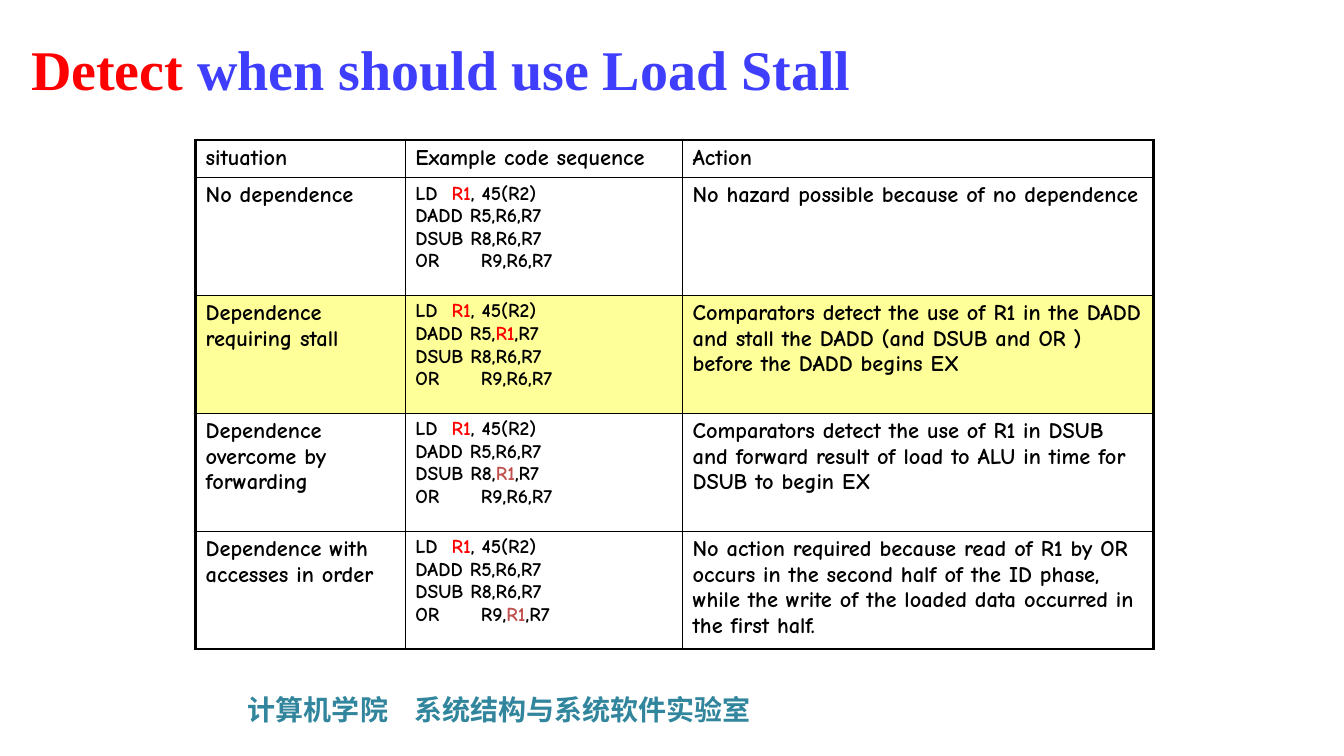
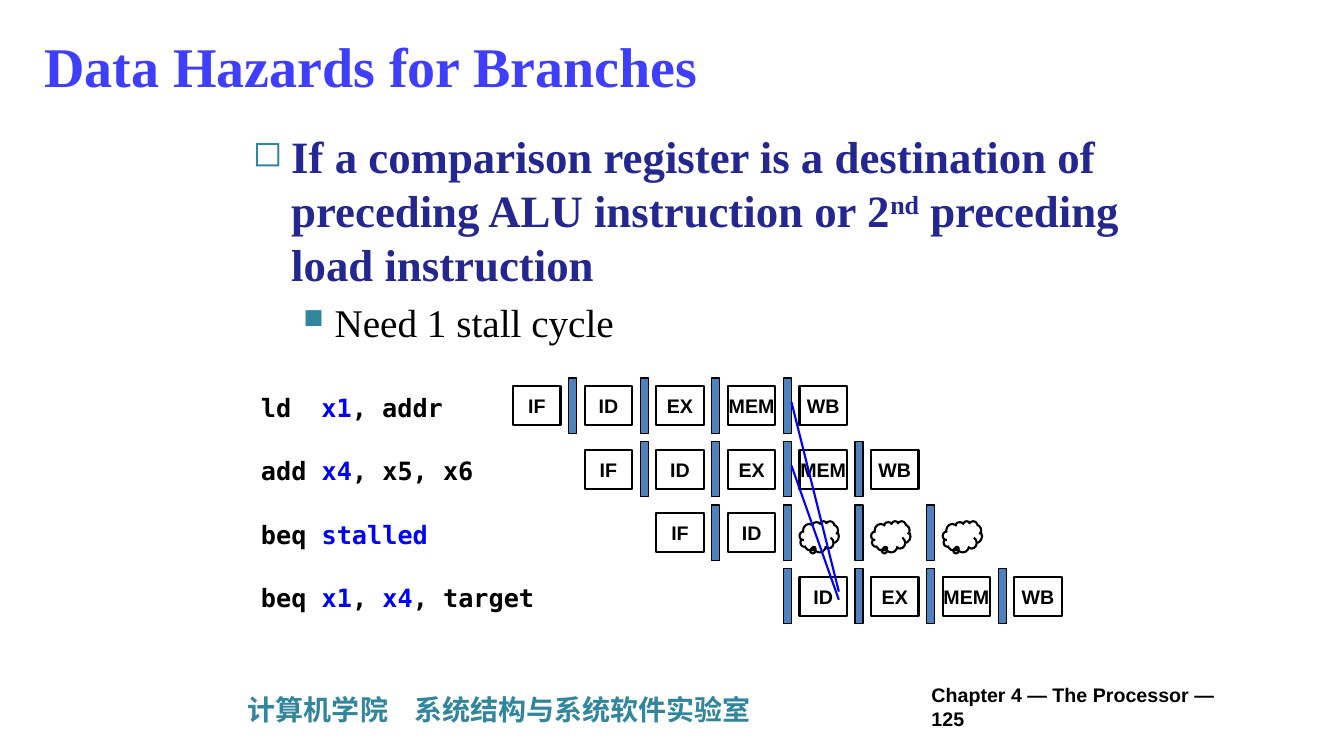
from lxml.etree import SubElement as Sub
from pptx import Presentation
from pptx.dml.color import RGBColor as RGB
from pptx.enum.shapes import MSO_CONNECTOR as Link, MSO_SHAPE as Kind
from pptx.enum.text import MSO_ANCHOR as Anchor, PP_ALIGN as Align
from pptx.oxml.ns import qn
from pptx.util import Emu, Inches, Pt

BLACK = RGB(0x00, 0x00, 0x00)
RED = RGB(0xFF, 0x00, 0x00)
BRICK = RGB(0xC0, 0x50, 0x4D)
BLUE = RGB(0x00, 0x00, 0xFF)
VIOLET = RGB(0x3E, 0x3E, 0xFC)
NAVY = RGB(0x24, 0x27, 0x90)
TEAL = RGB(0x31, 0x85, 0x9C)
STEEL = RGB(0x4F, 0x81, 0xBD)
YELLOW = RGB(0xFF, 0xFF, 0x99)

STYLES = {
    "title": (VIOLET, dict(name="Times New Roman", size=Pt(40), bold=True)),
    "lab": (TEAL, dict(name="Noto Sans CJK SC", size=Pt(20), bold=True)),
    "page": (BLACK, dict(name="Arial", size=Pt(14), bold=True)),
    "stage": (BLACK, dict(name="Arial", size=Pt(14), bold=True)),
    "point": (NAVY, dict(name="Times New Roman", size=Pt(32), bold=True)),
    "detail": (BLACK, dict(name="Times New Roman", size=Pt(28), bold=False)),
    "code": (BLACK, dict(name="DejaVu Sans Mono", size=Pt(18), bold=True)),
    "cell": (BLACK, dict(name="Comic Neue", size=Pt(16), bold=True)),
    "list": (BLACK, dict(name="Comic Neue", size=Pt(14), bold=True)),
}

HEAD = ("situation", "Example code sequence", "Action")
CASES = [  # situation, third operand of each line, accent, action
    ("No dependence", ("R6", "R6", "R6"), RED,
     "No hazard possible because of no dependence"),
    ("Dependence requiring stall", ("|R1|", "R6", "R6"), RED,
     "Comparators detect the use of R1 in the DADD and stall the DADD "
     "(and DSUB and OR ) before the DADD begins EX"),
    ("Dependence overcome by forwarding", ("R6", "|R1|", "R6"), BRICK,
     "Comparators detect the use of R1 in DSUB and forward result of load "
     "to ALU in time for DSUB to begin EX"),
    ("Dependence with accesses in order", ("R6", "R6", "|R1|"), BRICK,
     "No action required because read of R1 by OR occurs in the second half "
     "of the ID phase, while the write of the loaded data occurred in the "
     "first half."),
]
STALL = 1
OPS = ("DADD R5,", "DSUB R8,", "OR\tR9,")

CLOUD = "cloud"
PIPE = [  # code and its five steps, each row one column later
    ("ld\t|x1|, addr", ("IF", "ID", "EX", "MEM", "WB")),
    ("add |x4|, x5, x6", ("IF", "ID", "EX", "MEM", "WB")),
    ("beq |stalled|", ("IF", "ID", CLOUD, CLOUD, CLOUD)),
    ("beq |x1|, |x4|, target", (None, "ID", "EX", "MEM", "WB")),
]
LEFT, TOP = 5.09, 3.83
COL, ROW = 0.71, 0.63


def write(para, text, style, accent=None, tab=None):
    """Add runs to a paragraph; parts between bars take the accent colour."""
    if tab:
        stops = Sub(para._p.get_or_add_pPr(), qn("a:tabLst"))
        Sub(stops, qn("a:tab"), pos=str(Inches(tab)), algn="l")
    base, form = STYLES[style]
    for i, part in enumerate(text.split("|")):
        if not part:
            continue
        run = para.add_run()
        run.text = part
        for key, value in form.items():
            setattr(run.font, key, value)
        run.font.color.rgb = accent if i % 2 else base
        Sub(run._r.rPr, qn("a:ea"), typeface=form["name"])


def add_text(slide, area, text, style, accent=None, tab=None, anchor=Anchor.TOP):
    frame = slide.shapes.add_textbox(*map(Inches, area)).text_frame
    frame.word_wrap = True
    frame.vertical_anchor = anchor
    write(frame.paragraphs[0], text, style, accent, tab)
    return frame


def add_slide(deck, title, area):
    """Start a slide with its title and the laboratory footer."""
    slide = deck.slides.add_slide(deck.slide_layouts[6])
    add_text(slide, (2.36, 6.82, 9.66, 0.44),
             "计算机学院\t系统结构与系统软件实验室", "lab", tab=1.65)
    add_text(slide, area, title, "title", RED, anchor=Anchor.MIDDLE)
    return slide


def add_edge(cell, side, width):
    line = Sub(cell._tc.get_or_add_tcPr(), qn("a:ln" + side), w=str(Pt(width)))
    Sub(Sub(line, qn("a:solidFill")), qn("a:srgbClr"), val=str(BLACK))


def dress(cell, outer, fill):
    """Draw thick outer and thin inner borders, then fill the cell."""
    for side in "LRTB":
        add_edge(cell, side, 2.25 if side in outer else 1)
    if fill:
        cell.fill.solid()
        cell.fill.fore_color.rgb = fill
    else:
        cell.fill.background()


def fill_code(frame, regs, accent):
    write(frame.paragraphs[0], "LD\t|R1|, 45(R2)", "list", RED, 0.36)
    for op, reg in zip(OPS, regs):
        write(frame.add_paragraph(), f"{op}{reg},R7", "list", accent,
              0.65 if "\t" in op else None)


def add_cases(slide):
    widths, heights = (2.08, 2.75, 4.67), [0.37] + [1.17] * len(CASES)
    area = map(Inches, (1.94, 1.39, sum(widths), sum(heights)))
    table = slide.shapes.add_table(len(heights), len(widths), *area).table
    table.first_row = table.horz_banding = False
    for col, width in zip(table.columns, widths):
        col.width = Inches(width)
    for row, height in zip(table.rows, heights):
        row.height = Inches(height)
    for c, text in enumerate(HEAD):
        write(table.cell(0, c).text_frame.paragraphs[0], text, "cell")
    for r, (name, regs, accent, action) in enumerate(CASES, 1):
        for c, text in ((0, name), (2, action)):
            write(table.cell(r, c).text_frame.paragraphs[0], text, "cell")
        fill_code(table.cell(r, 1).text_frame, regs, accent)
    for r in range(len(heights)):
        for c in range(len(widths)):
            outer = {"L": c == 0, "R": c == len(widths) - 1,
                     "T": r == 0, "B": r == len(heights) - 1}
            dress(table.cell(r, c), [s for s in outer if outer[s]],
                  YELLOW if r == STALL + 1 else None)


def mark(para, char, size, left, hang):
    """Give a paragraph a hanging bullet."""
    props = para._p.get_or_add_pPr()
    props.set("marL", str(Inches(left)))
    props.set("indent", str(-Inches(hang)))
    Sub(Sub(props, qn("a:buClr")), qn("a:srgbClr"), val=str(TEAL))
    Sub(props, qn("a:buSzPct"), val=str(size * 1000))
    Sub(props, qn("a:buChar"), char=char)


def add_points(slide):
    frame = add_text(slide, (2.41, 1.23, 9.05, 2.6),
                     "If a comparison register is a destination of preceding "
                     "ALU instruction or 2|nd| preceding load instruction",
                     "point", NAVY)
    first = frame.paragraphs[0]
    mark(first, "◻", 80, 0.38, 0.38)
    first.runs[1]._r.rPr.set("baseline", "30000")
    sub = frame.add_paragraph()
    sub.level = 1
    sub.space_before = Pt(6)
    mark(sub, "■", 70, 0.81, 0.31)
    write(sub, "Need 1 stall cycle", "detail")


def add_shape(slide, kind, area, width, fill=None):
    shape = slide.shapes.add_shape(kind, *map(Inches, area))
    shape.shadow.inherit = False
    if fill:
        shape.fill.solid()
        shape.fill.fore_color.rgb = fill
    else:
        shape.fill.background()
    shape.line.color.rgb = BLACK
    shape.line.width = Pt(width)
    return shape


def add_step(slide, name, x, y):
    """Add a stage box, or a cloud for a bubble."""
    if name == CLOUD:
        cloud = add_shape(slide, Kind.CLOUD_CALLOUT, (x, y + 0.08, 0.39, 0.31), 1.5)
        cloud.adjustments[0], cloud.adjustments[1] = -0.13, 0.36
        return
    frame = add_shape(slide, Kind.RECTANGLE, (x, y, 0.47, 0.39), 1.5).text_frame
    form = dict(word_wrap=False, vertical_anchor=Anchor.MIDDLE, margin_left=Emu(0),
                margin_right=Emu(0), margin_top=Emu(0), margin_bottom=Emu(0))
    for key, value in form.items():
        setattr(frame, key, value)
    frame.paragraphs[0].alignment = Align.CENTER
    write(frame.paragraphs[0], name, "stage")


def add_pipe(slide):
    for r, (code, steps) in enumerate(PIPE):
        y = TOP + r * ROW
        add_text(slide, (2.49, y + 0.01, 3, 0.4), code, "code", BLUE,
                 0.6 if "\t" in code else None)
        for c, name in enumerate(steps, r):
            x = LEFT + c * COL
            if name:
                add_step(slide, name, x, y)
            if c < r + len(steps) - 1:
                add_shape(slide, Kind.RECTANGLE, (x + 0.55, y - 0.08, 0.08, 0.55),
                          0.75, STEEL)


def add_link(slide, *ends):
    line = slide.shapes.add_connector(Link.STRAIGHT, *map(Inches, ends))
    line.line.color.rgb = BLUE
    line.line.width = Pt(1.5)
    Sub(line._element.spPr, qn("a:effectLst"))


def main():
    deck = Presentation()
    deck.slide_width, deck.slide_height = Inches(13.33), Inches(7.5)

    slide = add_slide(deck, "|Detect| when should use Load Stall",
                      (0.21, 0.22, 9.77, 0.91))
    add_cases(slide)

    slide = add_slide(deck, "Data Hazards for Branches", (0.34, 0.13, 11.48, 1.04))
    add_text(slide, (9.14, 6.81, 3.35, 0.4), "Chapter 4 — The Processor — 125",
             "page", anchor=Anchor.MIDDLE)
    add_points(slide)
    add_pipe(slide)
    for row, end in ((0, 5.87), (1, 5.95)):
        add_link(slide, 7.85, TOP + 0.16 + row * ROW, 8.32, end)
    deck.save("out.pptx")


if __name__ == "__main__":
    main()
